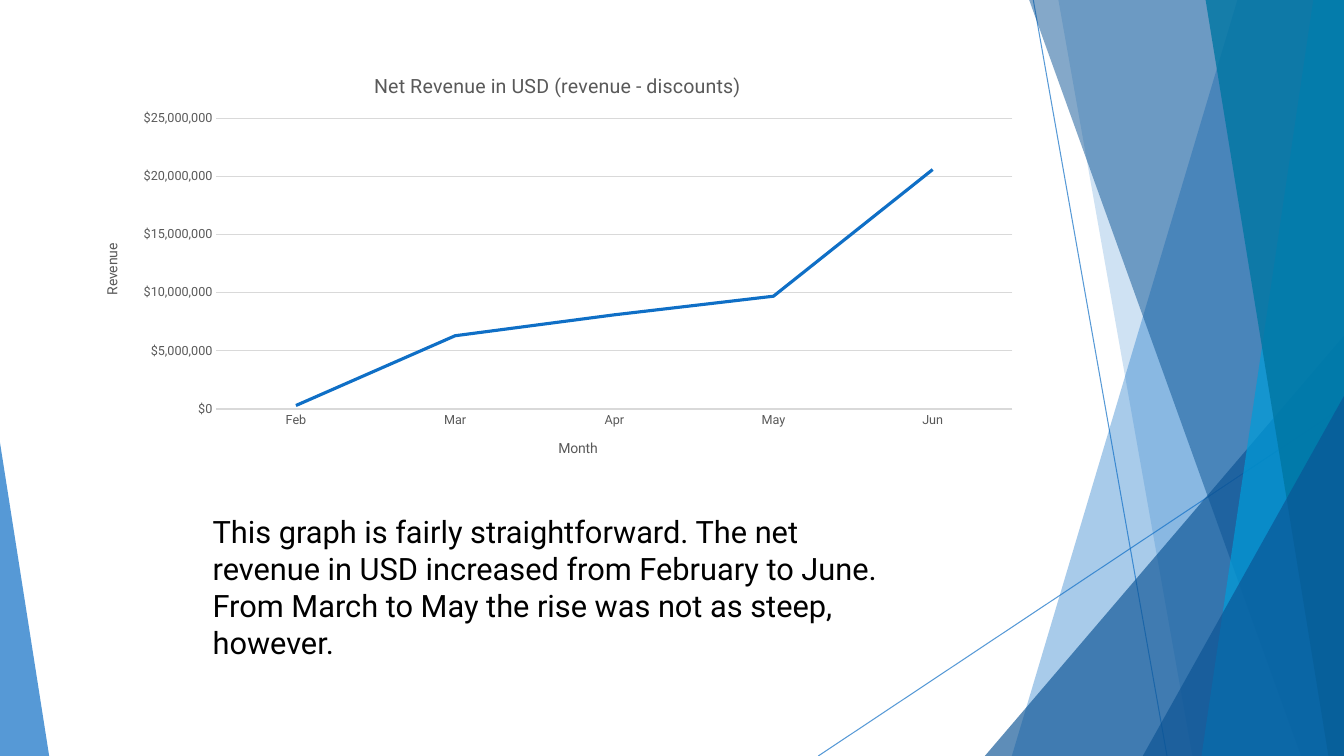
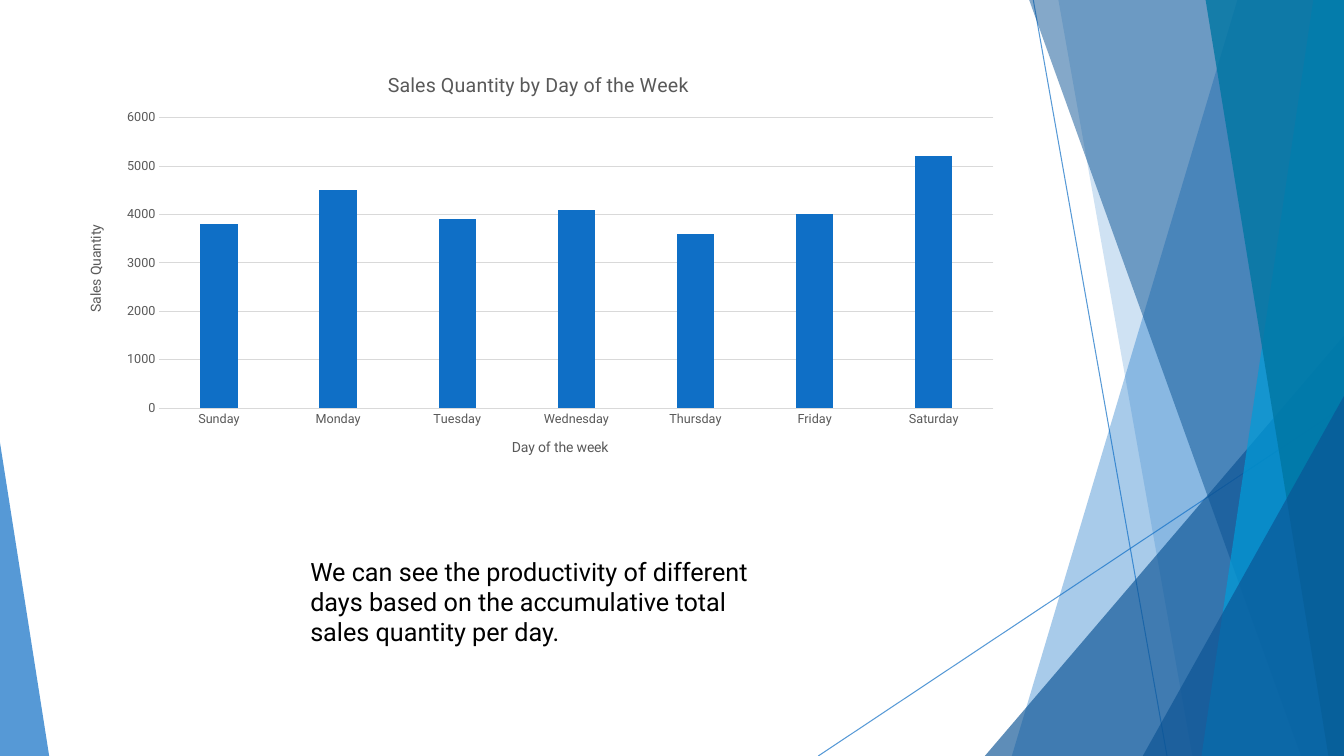
from dataclasses import dataclass
from typing import Any

from lxml.etree import SubElement
from pptx import Presentation
from pptx.chart.axis import CategoryAxis, ValueAxis
from pptx.chart.chart import Chart
from pptx.chart.data import CategoryChartData
from pptx.dml.color import RGBColor
from pptx.enum.chart import XL_CHART_TYPE, XL_TICK_MARK
from pptx.enum.shapes import MSO_CONNECTOR, MSO_SHAPE
from pptx.enum.text import MSO_AUTO_SIZE
from pptx.oxml import parse_xml
from pptx.oxml.ns import nsdecls, qn
from pptx.shapes.shapetree import GroupShapes
from pptx.slide import Slide, SlideLayout
from pptx.text.text import Font
from pptx.util import Cm, Pt

COLORS: dict[str, str] = {
    "blue": "0F6FC6",
    "navy": "0B5394",
    "sky": "009DD9",
    "teal": "0076A3",
    "text": "000000",
    "label": "595959",
    "grid": "D9D9D9",
}
FONT = "Roboto"
WIDTH, HEIGHT = 33.87, 19.05
BAND_TOP = -0.02
CHART_WIDTH, CHART_HEIGHT = 23.88, 10.77


@dataclass(frozen=True)
class Ray:
    start: tuple[float, float]
    end: tuple[float, float]


@dataclass(frozen=True)
class Band:
    top_x: float
    bottom_x: float
    color: str
    opacity: int


@dataclass(frozen=True)
class Corner:
    left: float
    top: float
    width: float
    apex: int
    color: str
    opacity: int


@dataclass(frozen=True)
class ChartSlide:
    title: str
    kind: XL_CHART_TYPE
    position: tuple[float, float]
    plot_area: dict[str, float]
    category_title: str
    value_title: str
    values: dict[str, int]
    scale: dict[str, int]
    number_format: str
    comment: str
    comment_box: tuple[float, float, float, float]
    comment_size: int


BACKDROP: list[Ray | Band | Corner] = [
    Ray((26.04, 0), (29.41, HEIGHT)),
    Ray((WIDTH, 10.24), (20.62, HEIGHT)),
    Band(31.19, 25.5, "blue", 36),
    Band(26.67, 30.05, "blue", 20),
    Corner(24.82, 8.46, WIDTH - 24.82, 1, "navy", 66),
    Band(25.93, 32.79, "navy", 50),
    Band(33.1, 30.28, "sky", 70),
    Band(30.38, 33.48, "teal", 80),
    Corner(28.8, 9.98, WIDTH - 28.8, 1, "navy", 66),
    Corner(0, 11.15, 1.24, 0, "blue", 70),
]

CHART_SLIDES = [
    ChartSlide(
        title="Net Revenue in USD (revenue - discounts)",
        kind=XL_CHART_TYPE.LINE,
        position=(2.11, 1.37),
        plot_area={"x": 0.14, "y": 0.15, "w": 0.84, "h": 0.68},
        category_title="Month",
        value_title="Revenue",
        values={"Feb": 300000, "Mar": 6300000, "Apr": 8100000,
                "May": 9700000, "Jun": 20600000},
        scale={"minimum_scale": 0, "maximum_scale": 25000000, "major_unit": 5000000},
        number_format='"$"#,##0',
        comment="This graph is fairly straightforward. The net revenue in USD "
                "increased from February to June. From March to May the rise "
                "was not as steep, however.",
        comment_box=(5.11, 12.8, 17.91, 4.01),
        comment_size=22,
    ),
    ChartSlide(
        title="Sales Quantity by Day of the Week",
        kind=XL_CHART_TYPE.COLUMN_CLUSTERED,
        position=(1.63, 1.35),
        plot_area={"x": 0.1, "y": 0.15, "w": 0.88, "h": 0.68},
        category_title="Day of the week",
        value_title="Sales Quantity",
        values={"Sunday": 3800, "Monday": 4500, "Tuesday": 3900, "Wednesday": 4100,
                "Thursday": 3600, "Friday": 4000, "Saturday": 5200},
        scale={"minimum_scale": 0, "maximum_scale": 6000, "major_unit": 1000},
        number_format="General",
        comment="We can see the productivity of different days based on the "
                "accumulative total sales quantity per day.",
        comment_box=(7.57, 13.89, 12.01, 2.57),
        comment_size=18,
    ),
]


def rgb(color: str) -> RGBColor:
    return RGBColor.from_string(COLORS[color])


def set_attributes(target: Any, values: dict[str, Any]) -> None:
    for name, value in values.items():
        setattr(target, name, value)


def style_font(font: Font, size: int, color: str) -> None:
    set_attributes(font, {"name": FONT, "size": Pt(size), "bold": False})
    font.color.rgb = rgb(color)


def style_line(line: Any, color: str, width: float) -> None:
    line.color.rgb = rgb(color)
    line.width = Pt(width)


def set_opacity(shape: Any, percent: int) -> None:
    for color in shape.element.xpath(".//a:srgbClr"):
        SubElement(color, qn("a:alpha"), val=str(percent * 1000))


def draw_ray(shapes: GroupShapes, ray: Ray) -> None:
    ends = [Cm(value) for value in ray.start + ray.end]
    connector = shapes.add_connector(MSO_CONNECTOR.STRAIGHT, *ends)
    style_line(connector.line, "blue", 0.75)
    set_opacity(connector, 70)
    SubElement(connector.element.spPr, qn("a:effectLst"))


def draw_facet(shapes: GroupShapes, facet: Band | Corner) -> None:
    if isinstance(facet, Band):
        builder = shapes.build_freeform(Cm(facet.top_x), Cm(BAND_TOP))
        outline = [(WIDTH, BAND_TOP), (WIDTH, HEIGHT), (facet.bottom_x, HEIGHT)]
        builder.add_line_segments([(Cm(x), Cm(y)) for x, y in outline])
        shape = builder.convert_to_shape()
    else:
        shape = shapes.add_shape(
            MSO_SHAPE.ISOSCELES_TRIANGLE, Cm(facet.left), Cm(facet.top),
            Cm(facet.width), Cm(HEIGHT - facet.top))
        shape.adjustments[0] = facet.apex
    shape.shadow.inherit = False
    shape.fill.solid()
    shape.fill.fore_color.rgb = rgb(facet.color)
    shape.line.fill.background()
    set_opacity(shape, facet.opacity)


def add_backdrop(layout: SlideLayout, slide: Slide) -> None:
    for placeholder in list(layout.placeholders):
        layout.shapes.element.remove(placeholder.element)
    group = slide.shapes.add_group_shape()
    for item in BACKDROP:
        if isinstance(item, Ray):
            draw_ray(group.shapes, item)
        else:
            draw_facet(group.shapes, item)
    layout.shapes.element.append(group.element)


def set_title(title: Any, text: str, size: int) -> None:
    title.text_frame.text = text
    style_font(title.text_frame.paragraphs[0].runs[0].font, size, "label")


def style_axis(axis: CategoryAxis | ValueAxis, title: str) -> None:
    set_attributes(axis, {
        "major_tick_mark": XL_TICK_MARK.NONE,
        "minor_tick_mark": XL_TICK_MARK.NONE,
        "has_title": True,
    })
    set_title(axis.axis_title, title, 10)
    style_font(axis.tick_labels.font, 9, "label")


def place_plot_area(chart: Chart, fractions: dict[str, float]) -> None:
    plot_area = chart.element.xpath("c:chart/c:plotArea")[0]
    for layout in plot_area.xpath("c:layout"):
        plot_area.remove(layout)
    modes = "".join(f'<c:{axis}Mode val="edge"/>' for axis in "xy")
    sizes = "".join(f'<c:{name} val="{value}"/>' for name, value in fractions.items())
    plot_area.insert(0, parse_xml(
        f'<c:layout {nsdecls("c")}><c:manualLayout><c:layoutTarget val="inner"/>'
        f"{modes}{sizes}</c:manualLayout></c:layout>"))


def add_chart(slide: Slide, content: ChartSlide) -> None:
    data = CategoryChartData()
    data.categories = list(content.values)
    data.add_series("Series 1", list(content.values.values()))
    left, top = content.position
    chart = slide.shapes.add_chart(
        content.kind, Cm(left), Cm(top), Cm(CHART_WIDTH), Cm(CHART_HEIGHT), data).chart
    set_attributes(chart, {"has_legend": False, "has_title": True})
    style_font(chart.font, 10, "text")
    set_title(chart.chart_title, content.title, 14)
    place_plot_area(chart, content.plot_area)

    style_axis(chart.category_axis, content.category_title)
    style_line(chart.category_axis.format.line, "grid", 0.75)
    axis = chart.value_axis
    style_axis(axis, content.value_title)
    set_attributes(axis, content.scale | {"has_major_gridlines": True})
    set_attributes(axis.tick_labels, {
        "number_format": content.number_format, "number_format_is_linked": False})
    axis.format.line.fill.background()
    style_line(axis.major_gridlines.format.line, "grid", 0.75)
    axis.axis_title.element.xpath(".//a:bodyPr")[0].set("rot", "-5400000")

    plot = chart.plots[0]
    plot.vary_by_categories = False
    series = plot.series[0]
    if content.kind == XL_CHART_TYPE.LINE:
        series.smooth = False
        style_line(series.format.line, "blue", 2.25)
    else:
        plot.gap_width = 219
        series.format.fill.solid()
        series.format.fill.fore_color.rgb = rgb("blue")


def add_comment(slide: Slide, content: ChartSlide) -> None:
    box = slide.shapes.add_textbox(*[Cm(value) for value in content.comment_box])
    frame = box.text_frame
    set_attributes(frame, {
        "word_wrap": True,
        "auto_size": MSO_AUTO_SIZE.SHAPE_TO_FIT_TEXT,
        "text": content.comment,
    })
    style_font(frame.paragraphs[0].runs[0].font, content.comment_size, "text")


def main() -> None:
    presentation = Presentation()
    set_attributes(presentation, {"slide_width": Cm(WIDTH), "slide_height": Cm(HEIGHT)})
    layout = presentation.slide_layouts[6]
    slides = [presentation.slides.add_slide(layout) for _ in CHART_SLIDES]
    add_backdrop(layout, slides[0])
    for slide, content in zip(slides, CHART_SLIDES):
        add_chart(slide, content)
        add_comment(slide, content)
    presentation.save("out.pptx")


main()
